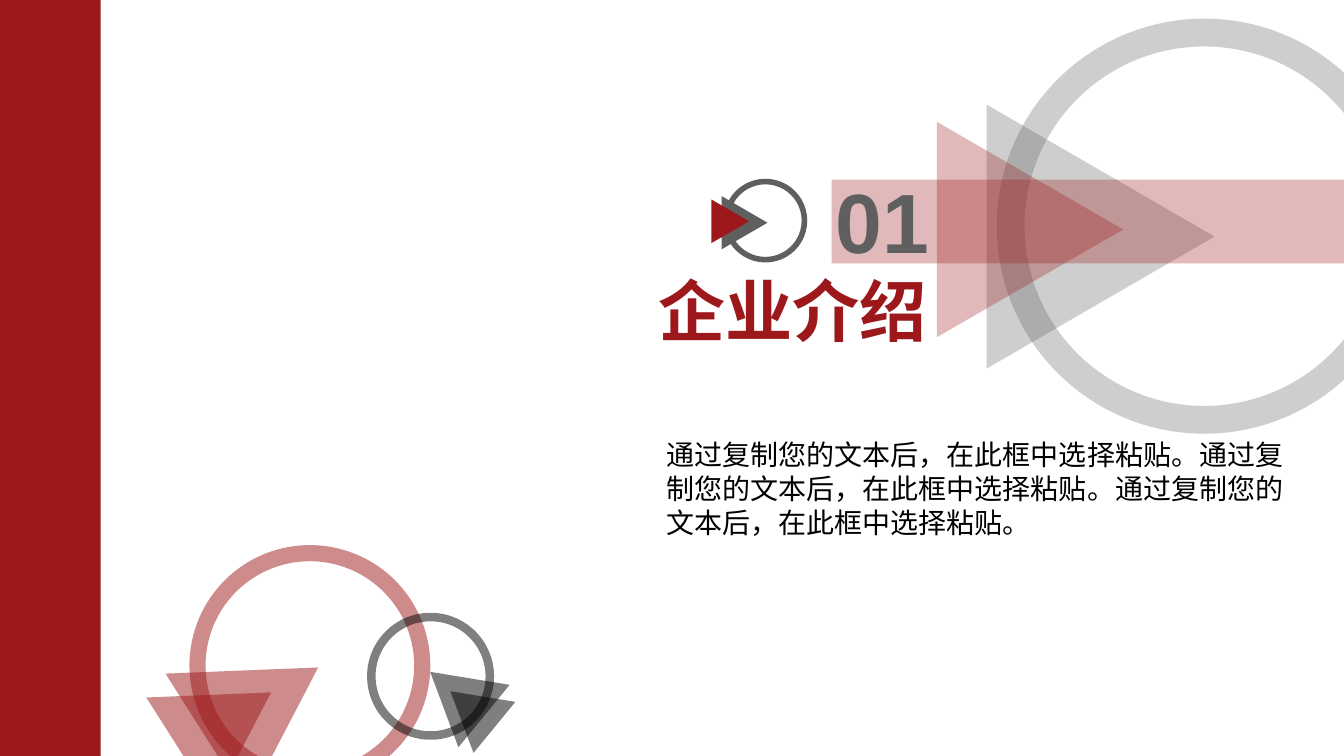
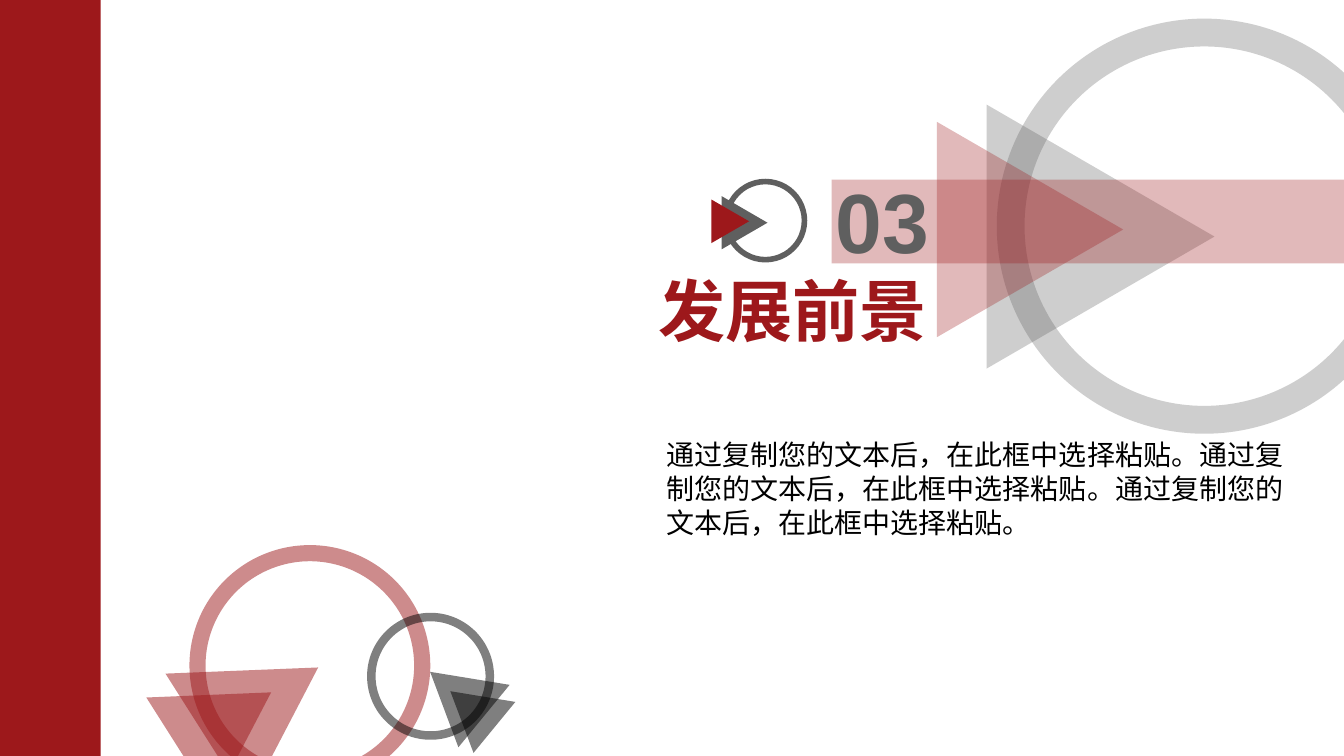
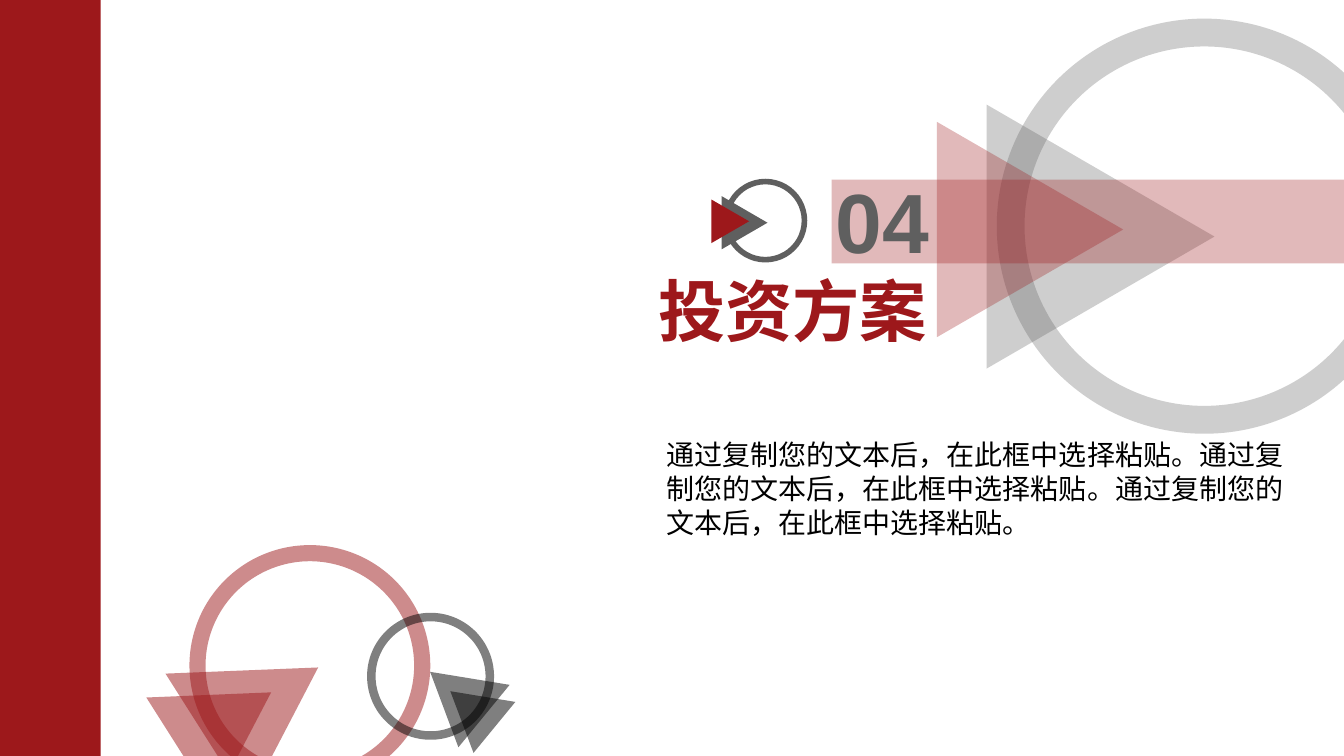
from dataclasses import dataclass
from math import cos, radians, sin

from lxml import etree
from pptx import Presentation
from pptx.dml.color import RGBColor
from pptx.enum.lang import MSO_LANGUAGE_ID
from pptx.enum.shapes import MSO_SHAPE
from pptx.enum.text import MSO_ANCHOR, MSO_AUTO_SIZE, PP_ALIGN
from pptx.oxml.ns import qn
from pptx.shapes.autoshape import Shape
from pptx.slide import Slide
from pptx.util import Cm, Pt

RECT, RING, WEDGE = MSO_SHAPE.RECTANGLE, MSO_SHAPE.DONUT, MSO_SHAPE.ISOSCELES_TRIANGLE
TOP, FIXED = MSO_ANCHOR.TOP, MSO_AUTO_SIZE.NONE
LEFT, CENTER, RIGHT = PP_ALIGN.LEFT, PP_ALIGN.CENTER, PP_ALIGN.RIGHT
CHINESE = MSO_LANGUAGE_ID.SIMPLIFIED_CHINESE


# Theme and data types
@dataclass(frozen=True)
class Theme:
    red: str = "9D181B"
    gray: str = "5F5F5F"
    black: str = "000000"
    white: str = "FFFFFF"
    font: str = "Arial"
    number: float = 60
    title: float = 48
    body: float = 20


@dataclass(frozen=True)
class Box:
    left: float
    top: float
    width: float
    height: float


@dataclass(frozen=True)
class Style:
    size: float
    color: str
    align: PP_ALIGN
    bold: bool = True
    pitch: float | None = None  # line pitch in points


@dataclass(frozen=True)
class Emblem:
    """A ring with two wedges, turned as one about the ring's centre."""
    x: float
    y: float
    size: float
    ring: str
    front: str
    alpha: int = 100
    turn: float = 0


@dataclass(frozen=True)
class Wedge:
    """Centre offset and size, in percent of the ring's diameter."""
    dx: float
    dy: float
    width: float
    height: float


@dataclass(frozen=True)
class Section:
    number: str
    title: str


THEME = Theme()
WIDTH, HEIGHT = 33.87, 19.05

BAND = Box(0, 0, 2.54, HEIGHT)
STRIPE = Box(20.96, 4.53, WIDTH - 20.96, 2.11)
NUMBER = Box(20.8, 4.14, 2.87, 2.82)
TITLE = Box(16.13, 6.65, 7.7, 1.63)
BODY = Box(16.54, 10.88, 16.1, 2.74)

BACK = Wedge(-25, 2.5, 63.6, 54.9)
FRONT = Wedge(-42, 0.8, 51.9, 44.9)
EMBLEMS = (
    Emblem(19.29, 5.56, 2.11, THEME.gray, THEME.red),
    Emblem(30.35, 5.7, 10.46, THEME.gray, THEME.red, 30),
    Emblem(7.81, 16.77, 6.07, THEME.red, THEME.red, 50, 327.6),
    Emblem(10.85, 17.04, 3.2, THEME.black, THEME.black, 50, 219.4),
)

NUMBER_STYLE = Style(THEME.number, THEME.gray, RIGHT)
TITLE_STYLE = Style(THEME.title, THEME.red, CENTER, pitch=58)
BODY_STYLE = Style(THEME.body, THEME.black, LEFT, bold=False, pitch=24.3)

SECTIONS = (
    Section("01", "企业介绍"),
    Section("03", "发展前景"),
    Section("04", "投资方案"),
)
PROMPT = "通过复制您的文本后，在此框中选择粘贴。" * 3


# Drawing helpers
def place(shape: Shape, box: Box) -> None:
    shape.left, shape.top = Cm(box.left), Cm(box.top)
    shape.width, shape.height = Cm(box.width), Cm(box.height)


def draw(slide: Slide, kind: MSO_SHAPE, box: Box, color: str,
         alpha: int = 100, turn: float = 0) -> Shape:
    shape = slide.shapes.add_shape(kind, 0, 0, 0, 0)
    place(shape, box)
    shape.rotation = turn
    shape.shadow.inherit = False
    shape.line.fill.background()
    shape.fill.solid()
    shape.fill.fore_color.rgb = RGBColor.from_string(color)
    if alpha < 100:
        tint = shape.element.spPr.find(qn("a:solidFill"))[0]
        etree.SubElement(tint, qn("a:alpha")).set("val", str(alpha * 1000))
    return shape


def emblem(slide: Slide, mark: Emblem) -> None:
    half, unit = mark.size / 2, mark.size / 100
    ring = Box(mark.x - half, mark.y - half, mark.size, mark.size)
    shape = draw(slide, RING, ring, mark.ring, mark.alpha, mark.turn)
    shape.adjustments[0] = 0.067
    c, s = cos(radians(mark.turn)), sin(radians(mark.turn))
    for part, color in ((BACK, mark.ring), (FRONT, mark.front)):
        width, height = part.width * unit, part.height * unit
        x = mark.x + unit * (part.dx * c - part.dy * s)
        y = mark.y + unit * (part.dx * s + part.dy * c)
        box = Box(x - width / 2, y - height / 2, width, height)
        draw(slide, WEDGE, box, color, mark.alpha, (mark.turn + 90) % 360)


def write(shape: Shape, box: Box, text: str, style: Style) -> None:
    place(shape, box)
    frame = shape.text_frame
    frame.text = text
    frame.word_wrap = True
    frame.auto_size = FIXED
    frame.vertical_anchor = TOP
    para = frame.paragraphs[0]
    para.alignment = style.align
    para.space_before = Pt(0)
    if style.pitch:
        para.line_spacing = Pt(style.pitch)
    for run in para.runs:
        font = run.font
        font.name, font.size, font.bold = THEME.font, Pt(style.size), style.bold
        font.color.rgb = RGBColor.from_string(style.color)
        font.language_id = CHINESE
        east = etree.Element(qn("a:ea"), typeface=THEME.font)
        font._element.find(qn("a:latin")).addnext(east)


def plain(shape: Shape) -> None:
    """Take the bullet and the hanging indent off a list placeholder."""
    props = shape.text_frame.paragraphs[0]._p.get_or_add_pPr()
    props.set("marL", "0")
    props.set("indent", "0")
    etree.SubElement(props, qn("a:buNone"))


# Slides
def build(slide: Slide, section: Section) -> None:
    small, large, *corner = EMBLEMS
    emblem(slide, small)
    emblem(slide, large)
    draw(slide, RECT, STRIPE, THEME.red, 30)
    for mark in corner:
        emblem(slide, mark)

    label = slide.shapes.add_textbox(0, 0, 0, 0)
    write(label, NUMBER, section.number, NUMBER_STYLE)
    label.text_frame.margin_left = 0

    write(slide.shapes.title, TITLE, section.title, TITLE_STYLE)
    body = slide.placeholders[1]
    write(body, BODY, PROMPT, BODY_STYLE)
    plain(body)


def main() -> None:
    deck = Presentation()
    deck.slide_width, deck.slide_height = Cm(WIDTH), Cm(HEIGHT)
    layout = deck.slide_layouts[1]
    fill = layout.background.fill
    fill.solid()
    fill.fore_color.rgb = RGBColor.from_string(THEME.white)
    slides = [deck.slides.add_slide(layout) for _ in SECTIONS]

    # The side band moves to the layout that all slides share
    band = draw(slides[0], RECT, BAND, THEME.red)
    layout.shapes.element.append(band.element)

    for slide, section in zip(slides, SECTIONS):
        build(slide, section)
    deck.save("out.pptx")


if __name__ == "__main__":
    main()
